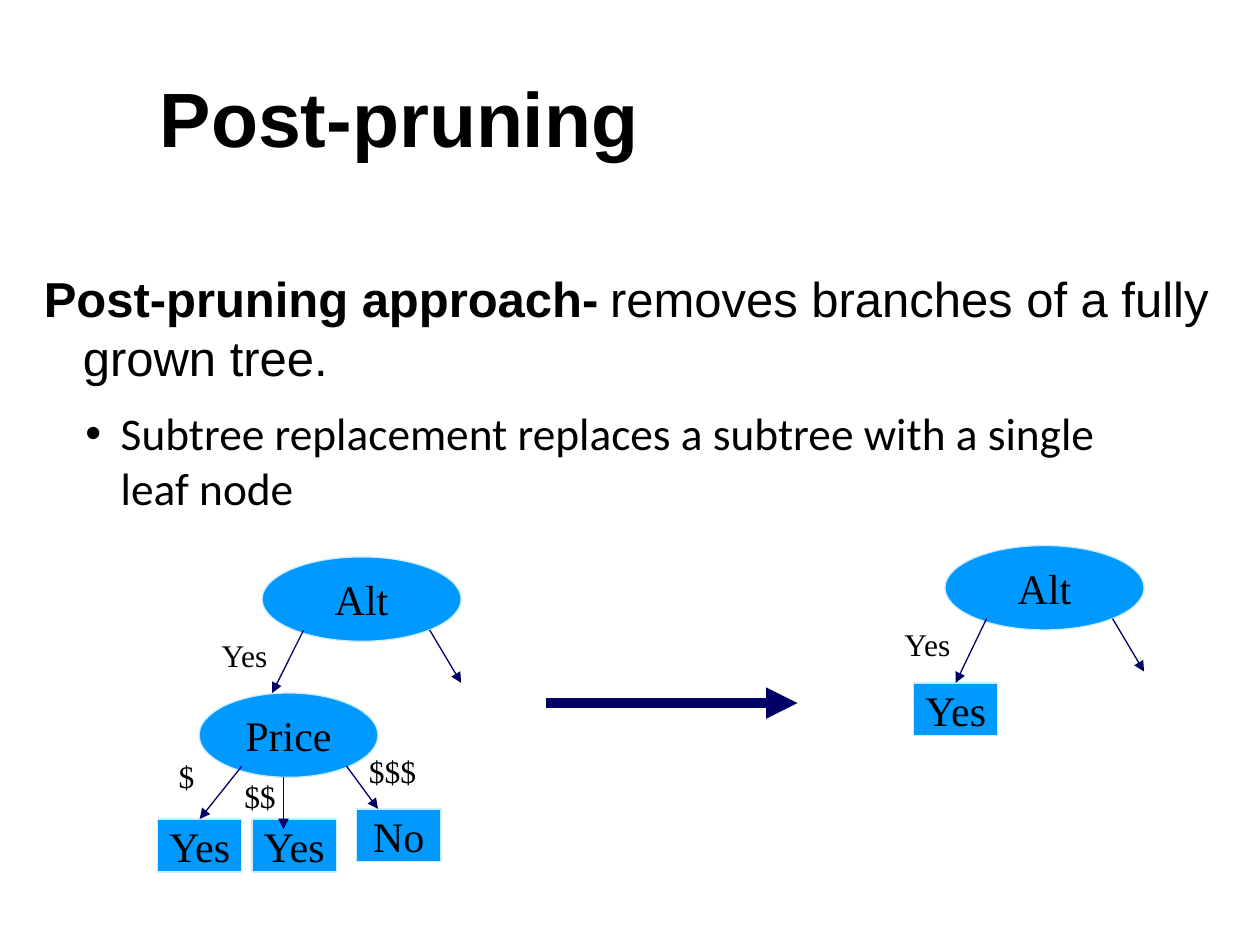
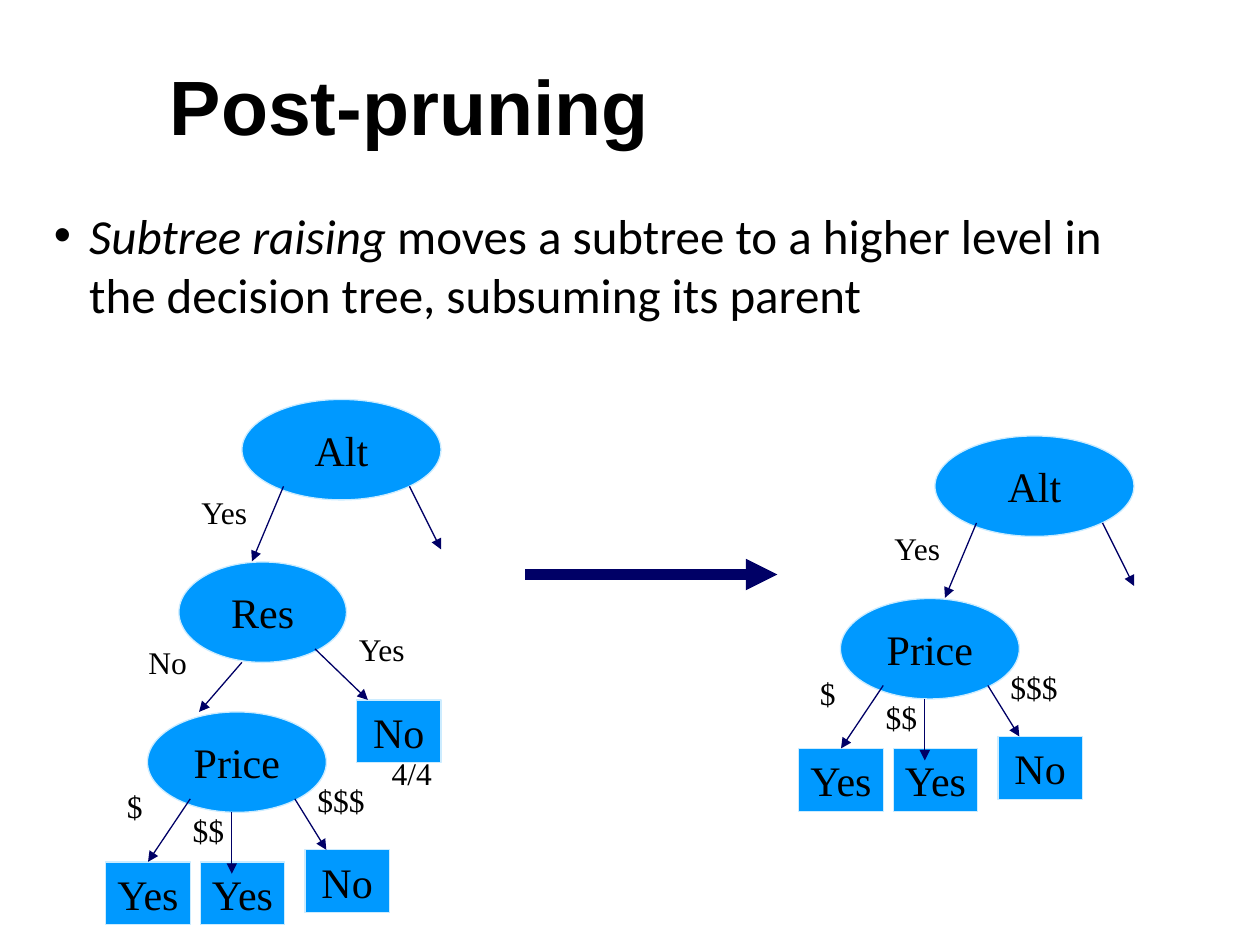
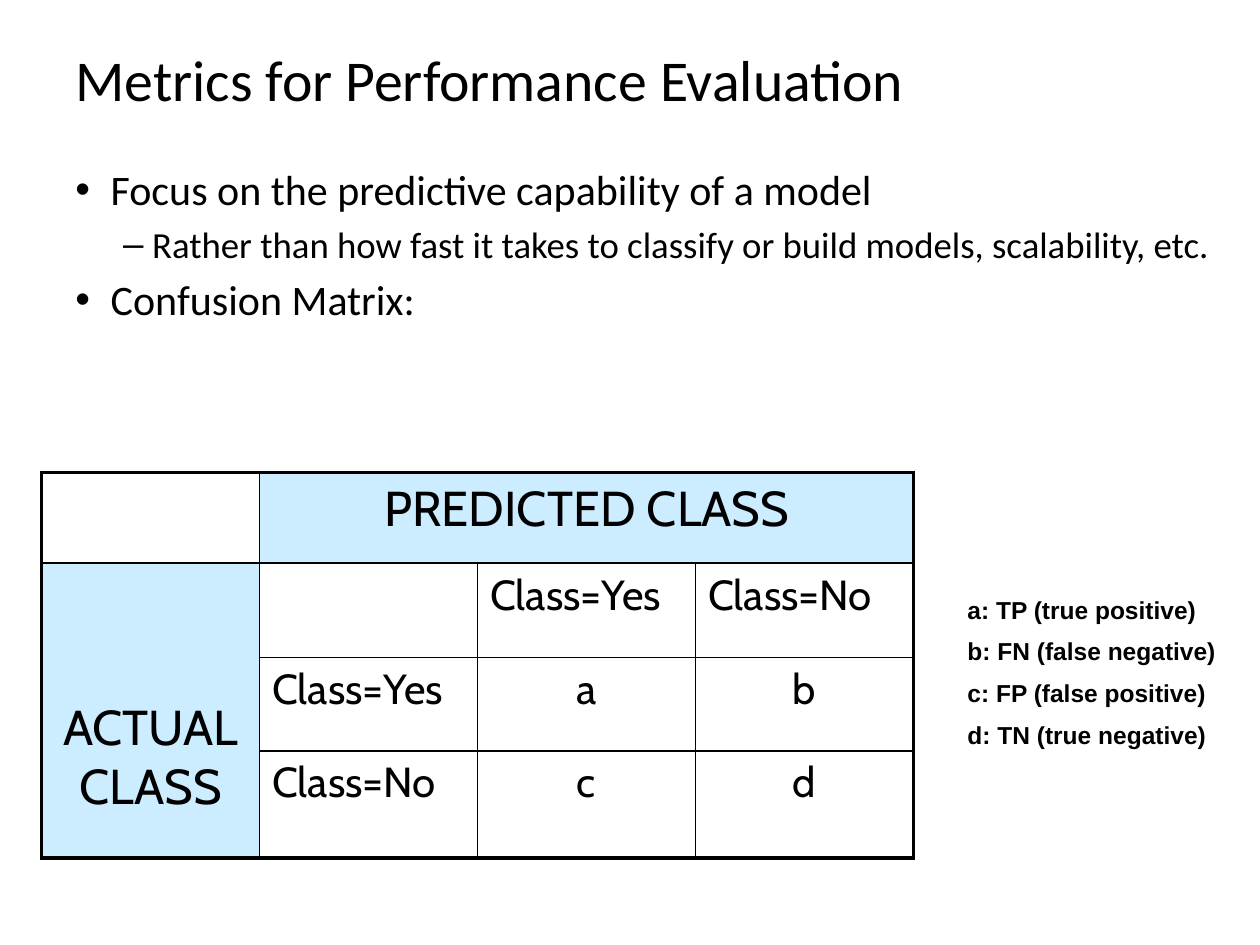
import lxml.etree
import pptx
import pptx.dml.color
import pptx.enum.shapes
import pptx.enum.text
import pptx.oxml.ns
import pptx.util

Inches = pptx.util.Inches
Pt = pptx.util.Pt
qn = pptx.oxml.ns.qn
ANCHOR = pptx.enum.text.MSO_ANCHOR
CENTER = pptx.enum.text.PP_ALIGN.CENTER
OVAL = pptx.enum.shapes.MSO_SHAPE.OVAL
RECT = pptx.enum.shapes.MSO_SHAPE.RECTANGLE

BLACK = pptx.dml.color.RGBColor(0x00, 0x00, 0x00)
NODE_BLUE = pptx.dml.color.RGBColor(0x00, 0x99, 0xFF)
PALE_BLUE = pptx.dml.color.RGBColor(0xCC, 0xEC, 0xFF)
NAVY = pptx.dml.color.RGBColor(0x00, 0x00, 0x66)

SERIF, SANS, BODY, TABLE = "Times New Roman", "Arial", "Calibri", "Cabin"


def write(paragraph, words, size, font, bold=False, margin=0, hanging=0, bullet=None):
    properties = paragraph._p.get_or_add_pPr()
    if margin:
        properties.set("marL", str(Inches(margin)))
        properties.set("indent", str(-Inches(hanging)))
    if bullet:
        lxml.etree.SubElement(properties, qn("a:buFont"), typeface="Arial")
        lxml.etree.SubElement(properties, qn("a:buChar"), char=bullet)
    paragraph.font.size = Pt(size)
    paragraph.font.name = font
    paragraph.font.bold = bold
    paragraph.font.color.rgb = BLACK
    paragraph.add_run().text = words


def arrow(slide, start, end, width):
    line = slide.shapes.add_connector(
        pptx.enum.shapes.MSO_CONNECTOR.STRAIGHT, *map(Inches, (*start, *end)))
    line.line.color.rgb = NAVY
    line.line.width = Pt(width)
    lxml.etree.SubElement(line.line._get_or_add_ln(), qn("a:tailEnd"), type="triangle")
    lxml.etree.SubElement(line._element.spPr, qn("a:effectLst"))
    return line


deck = pptx.Presentation()
deck.slide_width = Inches(10)
deck.slide_height = Inches(7.5)
replacement, raising, metrics = [deck.slides.add_slide(deck.slide_layouts[6]) for _ in range(3)]

for slide, place in ((replacement, (1.17, 0.42, 7.75, 0.92)), (raising, (1.25, 0, 7.5, 1.25))):
    frame = slide.shapes.add_textbox(*map(Inches, place)).text_frame
    frame.word_wrap = True
    frame.vertical_anchor = ANCHOR.BOTTOM
    write(frame.paragraphs[0], "Post-pruning", 44, SANS, bold=True)

frame = replacement.shapes.add_textbox(*map(Inches, (-0.25, 2.08, 10.25, 1.08))).text_frame
frame.word_wrap = True
approach = frame.paragraphs[0]
approach.space_before = Pt(3)
write(approach, "Post-pruning approach-", 28, SANS, margin=0.81, hanging=0.31)
approach.runs[0].font.bold = True
gap = approach.add_run()
gap.text = " "
gap.font.size = Pt(24)
approach.add_run().text = "removes branches of a fully grown tree."

frame = replacement.shapes.add_textbox(*map(Inches, (0.58, 3.17, 8.58, 0.92))).text_frame
frame.word_wrap = True
write(frame.paragraphs[0], "Subtree replacement replaces a subtree with a single leaf node",
      25.9, BODY, margin=0.28, hanging=0.28, bullet="•")

frame = raising.shapes.add_textbox(*map(Inches, (0.33, 1.58, 8.75, 1.17))).text_frame
frame.word_wrap = True
write(frame.paragraphs[0], "Subtree raising", 28, BODY, margin=0.28, hanging=0.28, bullet="•")
frame.paragraphs[0].runs[0].font.italic = True
frame.paragraphs[0].add_run().text = (
    " moves a subtree to a higher level in the decision tree, subsuming its parent")

LEAF = (0.67, 0.42)
ALT = dict(
    nodes=[(OVAL, "Alt", 0, 0, 1.58, 0.67)],
    branches=[((0.33, 0.58), (0.08, 1.08)), ((1.33, 0.58), (1.58, 1))],
    tags=[("Yes", -0.42, 0.58)])
PRICE = dict(
    nodes=[(OVAL, "Price", 0, 0, 1.42, 0.67), (RECT, "Yes", -0.33, 1, *LEAF),
           (RECT, "Yes", 0.42, 1, *LEAF), (RECT, "No", 1.25, 0.92, *LEAF)],
    branches=[((0.34, 0.58), (0, 1)), ((1.17, 0.58), (1.42, 0.92)), ((0.67, 0.67), (0.67, 1.08))],
    tags=[("$", -0.26, 0.46), ("$$", 0.26, 0.62), ("$$$", 1.25, 0.42)])
RES = dict(
    nodes=[(OVAL, "Res", 0, 0, 1.33, 0.67), (RECT, "No", 1.41, 0.92, *LEAF)],
    branches=[((0.5, 0.67), (0.16, 1)), ((1.08, 0.58), (1.5, 0.92))],
    tags=[("Yes", 1.33, 0.41), ("No", -0.34, 0.5), ("4/4", 1.59, 1.24)])
YES = dict(nodes=[(RECT, "Yes", 0, 0, *LEAF)], branches=[], tags=[])
TAG_WIDTHS = {"$": 0.33, "$$": 0.45, "$$$": 0.58, "Yes": 0.59, "No": 0.51, "4/4": 0.52}

forests = (
    (replacement, 1, (4.33, 5.58),
     [(ALT, 2.08, 4.42), (PRICE, 1.58, 5.5), (ALT, 7.5, 4.33), (YES, 7.25, 5.42)]),
    (raising, 1.19, (4.17, 4.56),
     [(ALT, 1.92, 3.17), (RES, 1.42, 4.46), (PRICE, 1.17, 5.65),
      (ALT, 7.42, 3.46), (PRICE, 6.67, 4.75)]))

for slide, stretch, (becomes_x, becomes_y), subtrees in forests:
    leaves = []
    for subtree, x, y in subtrees:
        for outline, name, dx, dy, width, height in subtree["nodes"]:
            node = slide.shapes.add_shape(outline, *map(Inches, (
                x + dx, y + dy * stretch, width, height * stretch)))
            node.shadow.inherit = False
            node.fill.solid()
            node.fill.fore_color.rgb = NODE_BLUE
            node.line.color.rgb = PALE_BLUE
            node.line.width = Pt(0.75)
            node.text_frame.word_wrap = False
            node.text_frame.vertical_anchor = ANCHOR.MIDDLE
            node.text_frame.paragraphs[0].alignment = CENTER
            write(node.text_frame.paragraphs[0], name, 24, SERIF)
            if outline == RECT:
                leaves.append(node)
    for subtree, x, y in subtrees:
        for start, end in subtree["branches"]:
            branch = arrow(slide, *[(x + dx, y + dy * stretch) for dx, dy in (start, end)], 0.75)
            for leaf in leaves:
                aside = abs(branch.end_x - leaf.left - leaf.width / 2)
                if max(aside, abs(branch.end_y - leaf.top)) < Inches(0.03):
                    branch.end_connect(leaf, 0)
        for answer, dx, dy in subtree["tags"]:
            frame = slide.shapes.add_textbox(*map(Inches, (
                x + dx, y + dy * stretch, TAG_WIDTHS[answer], 0.4 * stretch))).text_frame
            frame.word_wrap = False
            frame.auto_size = pptx.enum.text.MSO_AUTO_SIZE.SHAPE_TO_FIT_TEXT
            write(frame.paragraphs[0], answer, 18, SERIF)
    arrow(slide, (becomes_x, becomes_y), (becomes_x + 2, becomes_y), 6)

frame = metrics.shapes.add_textbox(*map(Inches, (0.5, 0, 9.5, 1.25))).text_frame
frame.word_wrap = True
frame.vertical_anchor = ANCHOR.MIDDLE
write(frame.paragraphs[0], "Metrics for Performance Evaluation", 33, BODY)

frame = metrics.shapes.add_textbox(*map(Inches, (0.5, 1.25, 9.5, 4.95))).text_frame
frame.word_wrap = True
points = (
    (0, "Focus on the predictive capability of a model"),
    (1, "Rather than how fast it takes to classify or build models, scalability, etc."),
    (0, "Confusion Matrix:"))
for position, (level, point) in enumerate(points):
    paragraph = frame.add_paragraph() if position else frame.paragraphs[0]
    paragraph.level = level
    size, margin, hanging, bullet = ((24, 0.28, 0.28, "•"), (21, 0.61, 0.23, "–"))[level]
    paragraph.space_before = Pt(0.2 * size if position else 0)
    write(paragraph, point, size, BODY, margin=margin, hanging=hanging, bullet=bullet)

confusion = (
    ("", "PREDICTED CLASS", "", ""),
    ("ACTUAL CLASS", "", "Class=Yes", "Class=No"),
    ("", "Class=Yes", "a", "b"),
    ("", "Class=No", "c", "d"))
matrix = metrics.shapes.add_table(4, 4, *map(Inches, (0.33, 3.75, 6.92, 3.06))).table
matrix.first_row = False
matrix.horz_banding = False
for column in matrix.columns:
    column.width = Inches(1.73)
for row, height in zip(matrix.rows, (0.72, 0.75, 0.74, 0.85)):
    row.height = Inches(height)
matrix.cell(0, 1).merge(matrix.cell(0, 3))
matrix.cell(1, 0).merge(matrix.cell(3, 0))

for r, entries in enumerate(confusion):
    for c, entry in enumerate(entries):
        cell = matrix.cell(r, c)
        outer_edges = {"L": c == 0, "R": c + cell.span_width == 4 or c == 3,
                       "T": r == 0, "B": r + cell.span_height == 4 or r == 3}
        for side, outer in outer_edges.items():
            if outer or not cell.is_spanned:
                border = lxml.etree.SubElement(
                    cell._tc.get_or_add_tcPr(), qn("a:ln" + side), w=str(Pt(2.25 if outer else 1)))
                ink = lxml.etree.SubElement(border, qn("a:solidFill"))
                lxml.etree.SubElement(ink, qn("a:srgbClr"), val=str(BLACK))
        heading = "CLASS" in entry
        if heading or cell.is_spanned:
            cell.fill.solid()
            cell.fill.fore_color.rgb = PALE_BLUE
        else:
            cell.fill.background()
        if entry:
            paragraph = cell.text_frame.paragraphs[0]
            if heading or len(entry) == 1:
                paragraph.alignment = CENTER
            write(paragraph, entry, 28 if heading else 24, TABLE)
matrix.cell(1, 0).margin_top = Inches(1.07)

frame = metrics.shapes.add_textbox(*map(Inches, (7.58, 4.67, 2.42, 1.38))).text_frame
frame.word_wrap = True
frame.auto_size = pptx.enum.text.MSO_AUTO_SIZE.SHAPE_TO_FIT_TEXT
outcomes = ("a: TP (true positive)", "b: FN (false negative)",
            "c: FP (false positive)", "d: TN (true negative)")
for position, outcome in enumerate(outcomes):
    paragraph = frame.add_paragraph() if position else frame.paragraphs[0]
    paragraph.space_before = Pt(7 if position else 0)
    write(paragraph, outcome, 14, SANS, bold=True)

deck.save("out.pptx")
